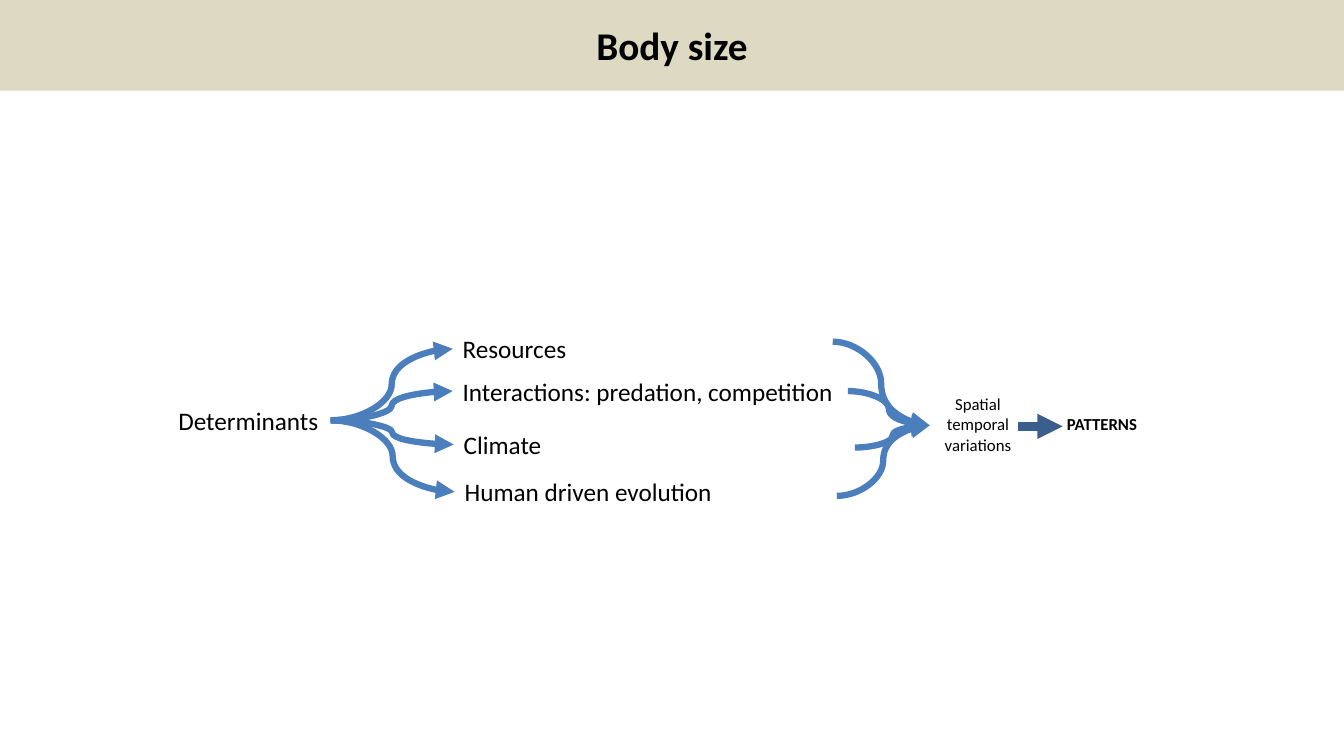
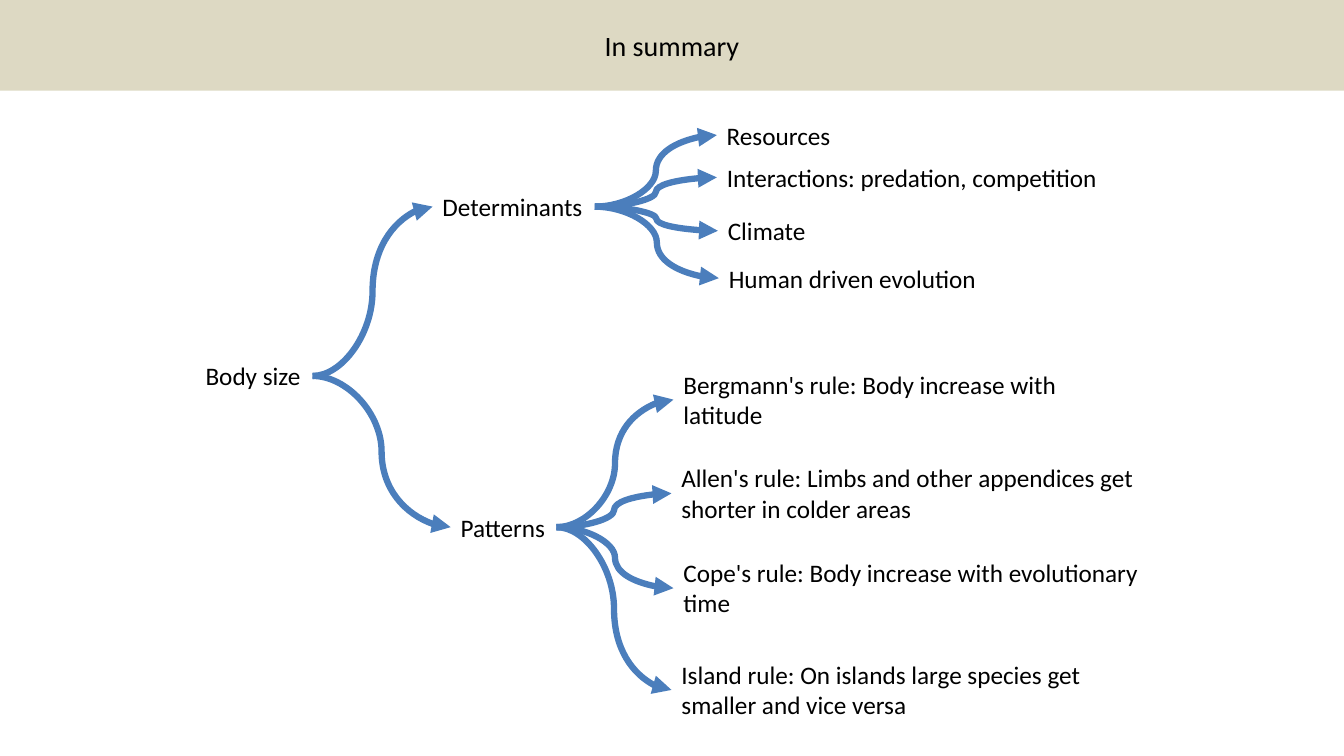
import pptx
import pptx.dml.color
import pptx.enum.shapes
import pptx.enum.text
import pptx.oxml.ns
import pptx.util
from lxml import etree

Inches = pptx.util.Inches
Pt = pptx.util.Pt
RGBColor = pptx.dml.color.RGBColor
ALIGN = pptx.enum.text.PP_ALIGN
CONNECTOR = pptx.enum.shapes.MSO_CONNECTOR
qn = pptx.oxml.ns.qn

BAND = RGBColor(0xDD, 0xD9, 0xC3)
BLACK = RGBColor(0x00, 0x00, 0x00)
BLUE = RGBColor(0x4B, 0x7E, 0xBC)
DARK_BLUE = RGBColor(0x3A, 0x5F, 0x8C)
FONT = "Calibri"
SLIDE_W, SLIDE_H, BAND_H = 13.33, 7.5, 0.9
LINE_H, TWO_LINES_H = 0.4, 0.71

BODY = {"name": FONT, "size": Pt(18), "bold": False}
SMALL = {**BODY, "size": Pt(12)}
SMALL_BOLD = {**SMALL, "bold": True}
TITLE = {**BODY, "size": Pt(20)}
TITLE_BOLD = {**BODY, "size": Pt(28), "bold": True}

FACTORS = [
    (2.82, -0.71, 1.24, LINE_H, "Resources"),
    (2.82, -0.29, 3.92, LINE_H, "Interactions: predation, competition"),
    (2.83, 0.24, 0.98, LINE_H, "Climate"),
    (2.84, 0.71, 2.68, LINE_H, "Human driven evolution"),
]
RULES = [
    (2.21, -1.42, 4.7, TWO_LINES_H, "Bergmann's rule: Body increase with latitude"),
    (2.19, -0.49, 4.83, TWO_LINES_H,
     "Allen's rule: Limbs and other appendices get shorter in colder areas"),
    (2.21, 0.45, 4.9, TWO_LINES_H, "Cope's rule: Body increase with evolutionary time"),
    (2.19, 1.46, 4.72, TWO_LINES_H,
     "Island rule: On islands large species get smaller and vice versa"),
]


def write(tf, lines, fmt, align=ALIGN.LEFT):
    for i, line in enumerate(lines):
        p = tf.paragraphs[0] if i == 0 else tf.add_paragraph()
        p.alignment = align
        r = p.add_run()
        r.text = line
        for key, value in fmt.items():
            setattr(r.font, key, value)
        r.font.color.rgb = BLACK


def label(s, x, y, w, h, lines, fmt=BODY, align=ALIGN.LEFT, wrap=True):
    tf = s.shapes.add_textbox(Inches(x), Inches(y), Inches(w), Inches(h)).text_frame
    tf.word_wrap = wrap
    write(tf, lines, fmt, align)


def arrow(s, start, end, kind=CONNECTOR.CURVE, color=BLUE, width=4.5):
    sp = s.shapes.add_connector(kind, *(Inches(v) for v in (*start, *end)))
    sp.line.color.rgb = color
    sp.line.width = Pt(width)
    ln = sp.line._get_or_add_ln()
    etree.SubElement(ln, qn("a:tailEnd"), type="triangle")
    etree.SubElement(sp._element.spPr, qn("a:effectLst"))


def title_band(s, text, fmt):
    sp = s.shapes.add_shape(pptx.enum.shapes.MSO_SHAPE.RECTANGLE,
                            0, 0, Inches(SLIDE_W), Inches(BAND_H))
    sp.shadow.inherit = False
    sp.fill.solid()
    sp.fill.fore_color.rgb = BAND
    sp.line.fill.background()
    sp.text_frame.vertical_anchor = pptx.enum.text.MSO_ANCHOR.MIDDLE
    write(sp.text_frame, [text], fmt, ALIGN.CENTER)


def branch(s, x, y, w, text, items):
    label(s, x, y, w, LINE_H, [text], wrap=False)
    for dx, dy, item_w, item_h, item in items:
        left, top = x + dx, y + dy
        label(s, left, top, item_w, item_h, [item], wrap=item_h > LINE_H)
        arrow(s, (x + w, y + LINE_H / 2), (left, top + item_h / 2))


def determinants(s, x, y):
    branch(s, x, y, 1.61, "Determinants", FACTORS)


def outcome(s, x, y):
    for dx, dy in [(-0.96, -0.83), (-0.81, -0.34), (-0.74, 0.22), (-0.92, 0.7)]:
        arrow(s, (x + dx, y + dy), (x, y))
    label(s, x, y - 0.36, 0.96, TWO_LINES_H, ["Spatial", "temporal variations"],
          SMALL, ALIGN.CENTER)
    arrow(s, (x + 0.88, y + 0.01), (x + 1.32, y + 0.01),
          CONNECTOR.STRAIGHT, DARK_BLUE, 6)
    label(s, x + 1.23, y - 0.16, 0.96, 0.3, ["PATTERNS"], SMALL_BOLD, ALIGN.CENTER)


def body_size_slide(s):
    title_band(s, "Body size", TITLE_BOLD)
    determinants(s, 1.67, 3.97)
    outcome(s, 9.22, 4.22)


def summary_slide(s):
    title_band(s, "In summary", TITLE)
    label(s, 1.94, 3.53, 1.15, LINE_H, ["Body size"], wrap=False)
    for tip in [(4.29, 2.05), (4.47, 5.23)]:
        arrow(s, (3.1, 3.73), tip)
    determinants(s, 4.29, 1.85)
    branch(s, 4.47, 5.03, 1.05, "Patterns", RULES)


def main():
    prs = pptx.Presentation()
    prs.slide_width, prs.slide_height = Inches(SLIDE_W), Inches(SLIDE_H)
    for build in (body_size_slide, summary_slide):
        build(prs.slides.add_slide(prs.slide_layouts[6]))
    prs.save("out.pptx")


if __name__ == "__main__":
    main()
